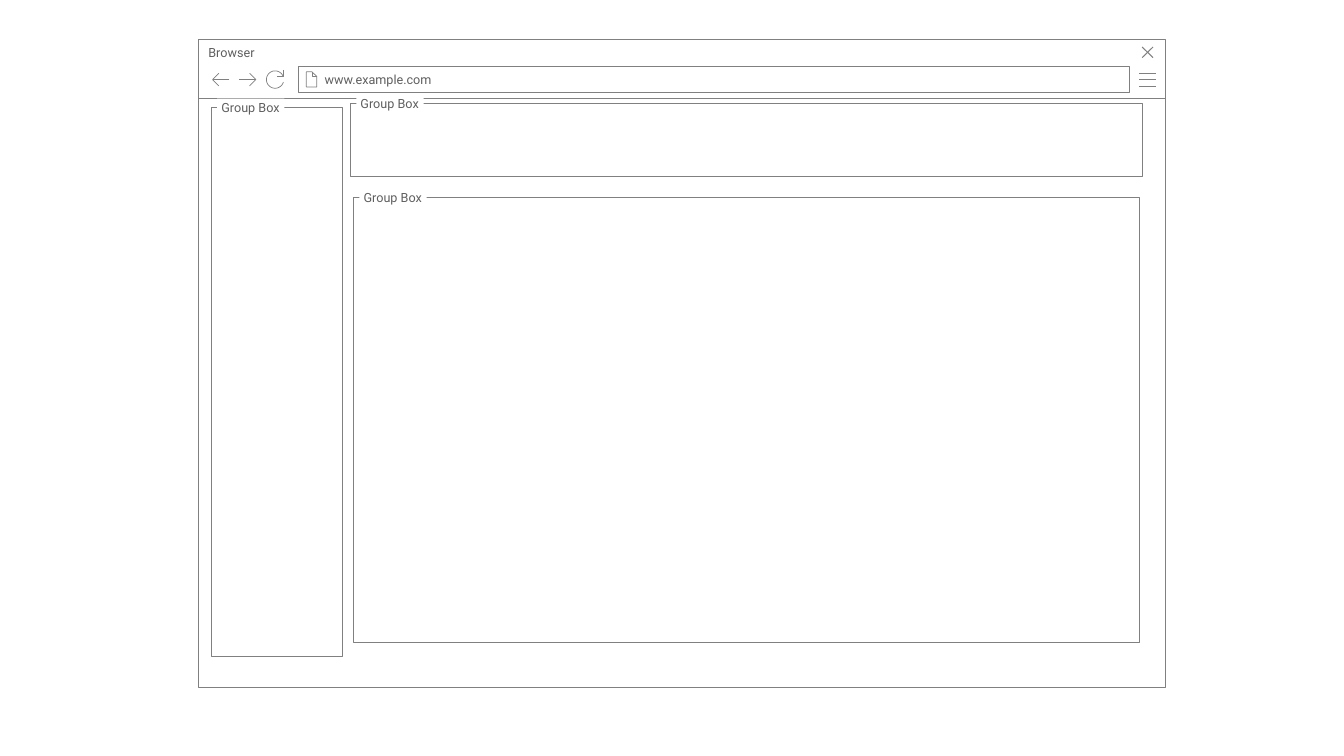
from dataclasses import dataclass
from math import cos, radians, sin

from pptx import Presentation
from pptx.dml.color import RGBColor
from pptx.enum.shapes import MSO_SHAPE
from pptx.enum.text import MSO_ANCHOR, MSO_AUTO_SIZE, PP_ALIGN
from pptx.shapes.autoshape import Shape
from pptx.shapes.shapetree import GroupShapes
from pptx.util import Pt

RECT = MSO_SHAPE.RECTANGLE
TOP, MIDDLE = MSO_ANCHOR.TOP, MSO_ANCHOR.MIDDLE
LEFT = PP_ALIGN.LEFT
FIT_SHAPE = MSO_AUTO_SIZE.SHAPE_TO_FIT_TEXT

WHITE = RGBColor(0xFF, 0xFF, 0xFF)
LINE_GREY = RGBColor(0x80, 0x80, 0x80)
TEXT_GREY = RGBColor(0x5F, 0x5F, 0x5F)

THIN = 0.5
FONT = {"name": "Roboto", "size": Pt(9)}

Point = tuple[float, float]
Stroke = list[Point]


@dataclass(frozen=True)
class Box:
    """A rectangle in points."""
    left: float
    top: float
    width: float
    height: float


@dataclass(frozen=True)
class Icon:
    """A line drawing made of one or more strokes."""
    strokes: list[Stroke]
    weight: float = THIN


def set_line(sp: Shape, weight: float) -> None:
    """Give a shape a grey outline and no shadow."""
    sp.shadow.inherit = False
    sp.line.color.rgb = LINE_GREY
    sp.line.width = Pt(weight)


def add_box(shapes: GroupShapes, box: Box, outlined: bool = True) -> Shape:
    """Add a white rectangle, outlined or not."""
    sp = shapes.add_shape(RECT, Pt(box.left), Pt(box.top), Pt(box.width), Pt(box.height))
    sp.fill.solid()
    sp.fill.fore_color.rgb = WHITE
    set_line(sp, THIN)
    if not outlined:
        sp.line.fill.background()
    return sp


def add_text(sp: Shape, text: str, insets: tuple[float, float, float, float],
             **frame: object) -> None:
    """Write one left-aligned line; insets run left, top, right, bottom."""
    tf = sp.text_frame
    sides = ("left", "top", "right", "bottom")
    margins = {f"margin_{side}": Pt(inset) for side, inset in zip(sides, insets)}
    for name, value in (margins | frame).items():
        setattr(tf, name, value)
    p = tf.paragraphs[0]
    p.alignment = LEFT
    r = p.add_run()
    r.text = text
    for name, value in FONT.items():
        setattr(r.font, name, value)
    r.font.color.rgb = TEXT_GREY


def add_icon(shapes: GroupShapes, icon: Icon) -> None:
    """Draw all strokes of an icon as one freeform."""
    strokes = [[(Pt(x), Pt(y)) for x, y in stroke] for stroke in icon.strokes]
    builder = shapes.build_freeform(*strokes[0][0], scale=1.0)
    for i, (start, *rest) in enumerate(strokes):
        if i:
            builder.move_to(*start)
        builder.add_line_segments(rest, close=rest[-1] == start)
    sp = builder.convert_to_shape()
    sp.fill.background()
    set_line(sp, icon.weight)


def arrow(tail: float, tip: float, y: float) -> Icon:
    """Return a horizontal arrow with an open head at tip."""
    neck = tip + (4.5 if tail > tip else -4.5)
    head = [(neck, y - 4.5), (tip, y), (neck, y + 4.5)]
    return Icon([head, [(tail, y), (tip, y)]])


def reload_icon(x: float, y: float, radius: float) -> Icon:
    """Return an open circle with a corner mark at its upper right."""
    arc = [(x + radius * cos(radians(a)), y + radius * sin(radians(a)))
           for a in range(17, 338, 8)]
    right, corner_y = x + radius, y - 2.5
    return Icon([[(right, corner_y - 4.5), (right, corner_y), (right - 4.5, corner_y)], arc])


def page_icon(box: Box, fold: float) -> Icon:
    """Return a sheet with a folded corner."""
    right, bottom = box.left + box.width, box.top + box.height
    crease = (right - fold, box.top)
    edge = (right, box.top + fold)
    corner = (box.left, box.top)
    sheet = [corner, (box.left, bottom), (right, bottom), edge, crease, corner]
    return Icon([[crease, (right - fold, box.top + fold), edge], sheet])


def add_group_box(shapes: GroupShapes, box: Box) -> None:
    """Add a frame with its label set into the top edge."""
    add_box(shapes, box)
    label = Box(box.left + 4.3, box.top - 6.2, 48.1, 12.4)
    add_text(add_box(shapes, label, outlined=False), "Group Box", (3, 0.75, 3, 0.75),
             vertical_anchor=TOP, word_wrap=False, auto_size=FIT_SHAPE)


WINDOW = Box(141.8, 70.2, 690.6, 420.9)
TITLE_BAR = Box(WINDOW.left, 28.2, WINDOW.width, 42)
ADDRESS = Box(213.2, 47.4, 593.8, 18.9)
BAR_Y = ADDRESS.top + ADDRESS.height / 2

MENU = Icon([[(813.7, BAR_Y + dy), (825.4, BAR_Y + dy)] for dy in (4.6, 0, -4.6)])
CLOSE = Icon([[(823.6, 33.6), (815.8, 41.2)], [(815.8, 33.6), (823.6, 41.2)]], 0.75)
ICONS = [
    MENU,
    CLOSE,
    page_icon(Box(218.8, 51.3, 7.5, 10.8), 3.4),
    arrow(163.8, 151.8, BAR_Y),
    arrow(170.8, 182.8, BAR_Y),
    reload_icon(196.5, BAR_Y, 6.2),
]
GROUP_BOXES = [
    Box(150.8, 76.6, 93.8, 392.3),
    Box(252.4, 141, 561.5, 317.7),
    Box(250.2, 73.9, 565.8, 52.1),
]


def main() -> None:
    """Build the browser wireframe."""
    prs = Presentation()
    prs.slide_width, prs.slide_height = Pt(960), Pt(540)
    s = prs.slides.add_slide(prs.slide_layouts[6])

    browser = s.shapes.add_group_shape().shapes
    add_box(browser, WINDOW)
    add_text(add_box(browser, TITLE_BAR), "Browser", (7.2, 3.6, 18, 3.6),
             vertical_anchor=TOP, word_wrap=True)
    add_text(add_box(browser, ADDRESS), "www.example.com", (18.7, 3.6, 7.2, 3.6),
             vertical_anchor=MIDDLE, word_wrap=True)
    for icon in ICONS:
        add_icon(browser, icon)

    for box in GROUP_BOXES:
        add_group_box(s.shapes.add_group_shape().shapes, box)

    prs.save("out.pptx")


main()
